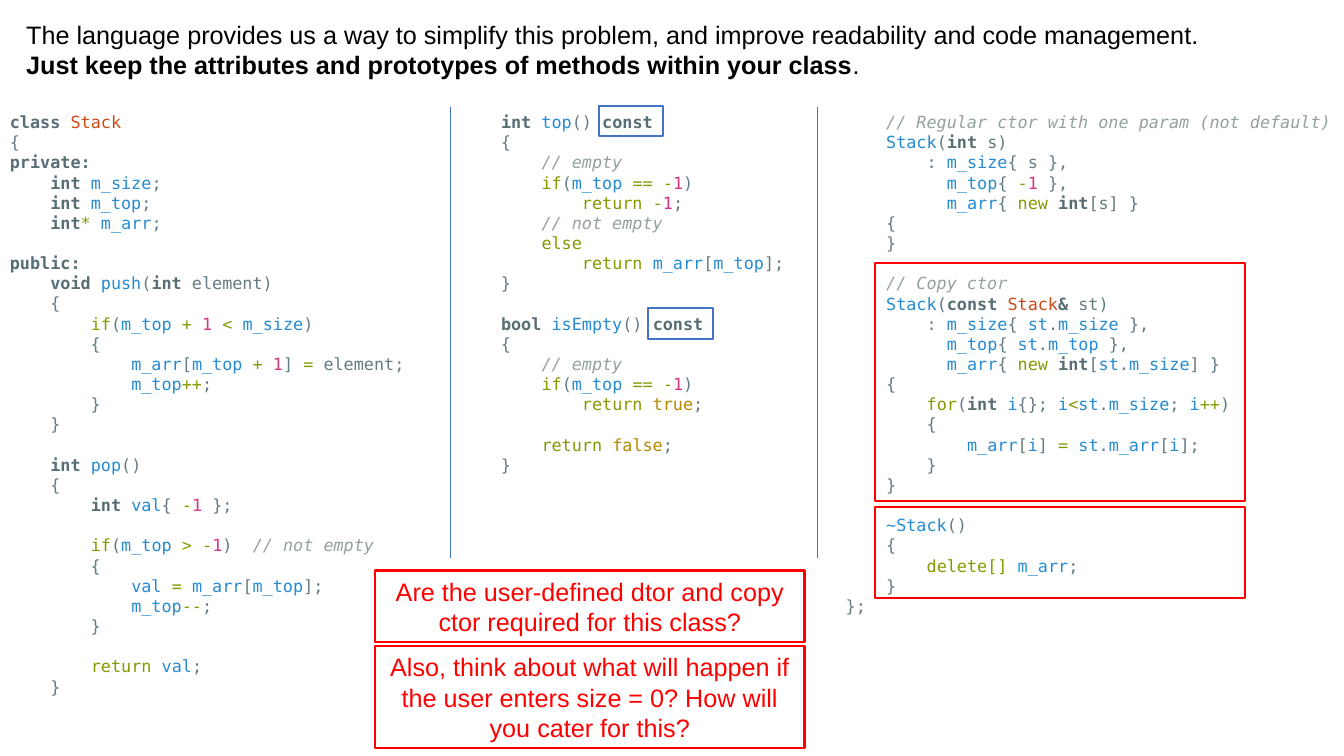
from dataclasses import dataclass
from itertools import groupby
from typing import Iterator

from lxml.etree import SubElement
from pptx import Presentation
from pptx.dml.color import RGBColor
from pptx.enum.shapes import MSO_CONNECTOR, MSO_SHAPE
from pptx.enum.text import MSO_ANCHOR as Anchor, MSO_AUTO_SIZE as AutoSize, PP_ALIGN as Align
from pptx.oxml.ns import qn
from pptx.util import Emu, Pt

PX = 9144  # 100 px to the inch


@dataclass(frozen=True)
class TokenStyle:
    colour: str
    bold: bool = False
    italic: bool = False


@dataclass(frozen=True)
class Theme:
    text_font: str = "Arial"
    code_font: str = "DejaVu Sans Mono"
    text_size: float = 18
    code_size: float = 12
    code_pitch: float = 14.4
    ink: str = "000000"
    red: str = "FF0000"
    blue: str = "4472C4"
    frame_line: float = 1.5
    divider_line: float = 0.5
    plain: TokenStyle = TokenStyle("657B83")
    declaration: TokenStyle = TokenStyle("586E75", bold=True)
    name: TokenStyle = TokenStyle("268BD2")
    class_name: TokenStyle = TokenStyle("CB4B16")
    keyword: TokenStyle = TokenStyle("859900")
    number: TokenStyle = TokenStyle("D33682")
    boolean: TokenStyle = TokenStyle("B58900")
    comment: TokenStyle = TokenStyle("93A1A1", italic=True)


@dataclass(frozen=True)
class Box:
    left: int
    top: int
    width: int
    height: int

    def emu(self) -> tuple[Emu, ...]:
        return tuple(Emu(n * PX) for n in (self.left, self.top, self.width, self.height))


@dataclass(frozen=True)
class Frame:
    box: Box
    colour: str
    text: str = ""


THEME = Theme()

# Code listings
FIELDS_PUSH_POP = """class Stack
{
private:
    int m_size;
    int m_top;
    int* m_arr;

public:
    void push(int element)
    {
        if(m_top + 1 < m_size)
        {
            m_arr[m_top + 1] = element;
            m_top++;
        }
    }

    int pop()
    {
        int val{ -1 };

        if(m_top > -1)  // not empty
        {
            val = m_arr[m_top];
            m_top--;
        }

        return val;
    }"""
TOP_IS_EMPTY = """    int top() const
    {
        // empty
        if(m_top == -1)
            return -1;
        // not empty
        else
            return m_arr[m_top];
    }

    bool isEmpty() const
    {
        // empty
        if(m_top == -1)
            return true;

        return false;
    }"""
CONSTRUCTORS = """    // Regular ctor with one param (not default)
    Stack(int s)
        : m_size{ s },
          m_top{ -1 },
          m_arr{ new int[s] }
    {
    }

    // Copy ctor
    Stack(const Stack& st)
        : m_size{ st.m_size },
          m_top{ st.m_top },
          m_arr{ new int[st.m_size] }
    {
        for(int i{}; i<st.m_size; i++)
        {
            m_arr[i] = st.m_arr[i];
        }
    }

    ~Stack()
    {
        delete[] m_arr;
    }
};"""
LISTINGS = {
    Box(0, 106, 428, 616): FIELDS_PUSH_POP,
    Box(447, 106, 363, 374): TOP_IS_EMPTY,
    Box(829, 106, 504, 535): CONSTRUCTORS,
}

# Colour of each token
VOCABULARY = {
    THEME.declaration: "class private public int void bool const &",
    THEME.name: "m_size m_top m_arr push pop top isEmpty val i st ~ Stack",
    THEME.keyword: "if else return new for delete + - * = < >",
    THEME.boolean: "true false",
}
STYLES = {word: style for style, words in VOCABULARY.items() for word in words.split()}
CONTEXT = {
    ("class", "Stack"): THEME.class_name,
    ("const", "Stack"): THEME.class_name,
    ("&", "st"): THEME.plain,
    ("private", ":"): THEME.declaration,
    ("public", ":"): THEME.declaration,
    ("delete", "["): THEME.keyword,
    ("[", "]"): THEME.keyword,
}

# Frames and dividers
FRAMES = [
    Frame(Box(372, 566, 426, 71), THEME.red,
          "Are the user-defined dtor and copy ctor required for this class?"),
    Frame(Box(372, 641, 426, 101), THEME.red,
          "Also, think about what will happen if the user enters size = 0? "
          "How will you cater for this?"),
    Frame(Box(594, 105, 64, 30), THEME.blue),
    Frame(Box(643, 306, 64, 30), THEME.blue),
    Frame(Box(868, 261, 367, 236), THEME.red),
    Frame(Box(868, 503, 367, 90), THEME.red),
]
DIVIDERS = [Box(x, 106, 0, 448) for x in (447, 811)]


def rgb(colour: str) -> RGBColor:
    return RGBColor.from_string(colour)


def set_font(font, name: str, size: float, colour: str) -> None:
    font.name, font.size, font.color.rgb = name, Pt(size), rgb(colour)


def split_tokens(code: str) -> Iterator[str]:
    for is_word, characters in groupby(code, lambda c: c.isalnum() or c == "_"):
        yield from ["".join(characters)] if is_word else characters


def styled_runs(line: str) -> Iterator[tuple[TokenStyle, str]]:
    code, slashes, comment = line.partition("//")
    pieces, previous, style = [], "", THEME.plain
    for token in split_tokens(code):
        if not token.isspace():
            default = THEME.number if token.isdigit() else STYLES.get(token, THEME.plain)
            style = CONTEXT.get((previous, token), default)
            previous = token
        pieces.append((style, token))
    if slashes:
        pieces.append((THEME.comment, slashes + comment))
    for style, group in groupby(pieces, lambda piece: piece[0]):
        yield style, "".join(text for _, text in group)


def add_listing(slide, box: Box, code: str) -> None:
    frame = slide.shapes.add_textbox(*box.emu()).text_frame
    frame.word_wrap = True
    paragraph, gap = frame.paragraphs[0], 0
    for number, line in enumerate(code.split("\n")):
        if not line:
            gap = THEME.code_pitch
            continue
        if number:
            paragraph = frame.add_paragraph()
        paragraph.line_spacing, paragraph.space_before = Pt(THEME.code_pitch), Pt(gap)
        gap = 0
        for style, text in styled_runs(line):
            run = paragraph.add_run()
            run.text = text
            set_font(run.font, THEME.code_font, THEME.code_size, style.colour)
            run.font.bold, run.font.italic = style.bold, style.italic


def add_frame(slide, item: Frame) -> None:
    shape = slide.shapes.add_shape(MSO_SHAPE.RECTANGLE, *item.box.emu())
    shape.shadow.inherit = False
    shape.fill.background()
    shape.line.color.rgb, shape.line.width = rgb(item.colour), Pt(THEME.frame_line)
    if item.text:
        frame = shape.text_frame
        frame.word_wrap, frame.vertical_anchor = True, Anchor.MIDDLE
        paragraph = frame.paragraphs[0]
        paragraph.text, paragraph.alignment = item.text, Align.CENTER
        set_font(paragraph.font, THEME.text_font, THEME.text_size, item.colour)


def add_divider(slide, box: Box) -> None:
    left, top, width, height = box.emu()
    line = slide.shapes.add_connector(MSO_CONNECTOR.STRAIGHT, left, top, left + width, top + height)
    line.line.color.rgb, line.line.width = rgb(THEME.blue), Pt(THEME.divider_line)
    SubElement(line._element.spPr, qn("a:effectLst"))


def fill_title(title, box: Box) -> None:
    title.left, title.top, title.width, title.height = box.emu()
    frame = title.text_frame
    frame.text = ("The language provides us a way to simplify this problem, "
                  "and improve readability and code management.")
    frame.auto_size, frame.word_wrap, frame.vertical_anchor = AutoSize.NONE, True, Anchor.TOP
    closing = frame.add_paragraph()
    for text, bold in (("Just keep the attributes and prototypes of methods within your class", True),
                       (".", False)):
        run = closing.add_run()
        run.text, run.font.bold = text, bold
    for paragraph in frame.paragraphs:
        paragraph.alignment = Align.LEFT
        set_font(paragraph.font, THEME.text_font, THEME.text_size, THEME.ink)


def main() -> None:
    presentation = Presentation()
    presentation.slide_width, presentation.slide_height = Emu(1333 * PX), Emu(750 * PX)
    slide = presentation.slides.add_slide(presentation.slide_layouts[5])
    fill_title(slide.shapes.title, Box(16, 14, 1301, 71))
    for box, code in LISTINGS.items():
        add_listing(slide, box, code)
    for box in DIVIDERS:
        add_divider(slide, box)
    for item in FRAMES:
        add_frame(slide, item)
    presentation.save("out.pptx")


if __name__ == "__main__":
    main()
